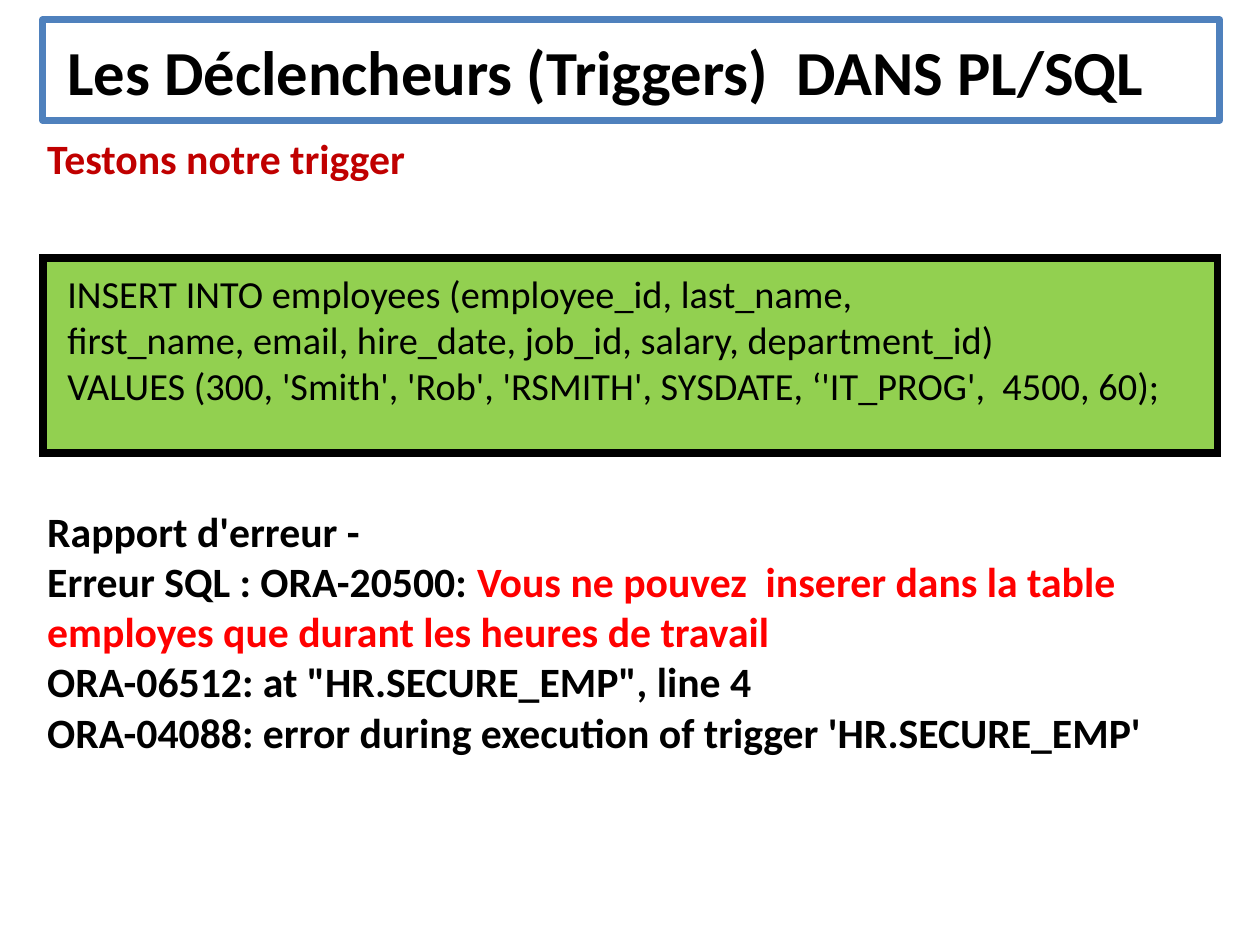
from lxml import etree
from pptx import Presentation
from pptx.dml.color import RGBColor
from pptx.enum.shapes import MSO_SHAPE
from pptx.enum.text import MSO_ANCHOR, PP_ALIGN
from pptx.oxml.ns import qn
from pptx.util import Inches, Pt

RECT = MSO_SHAPE.RECTANGLE
TOP, MIDDLE = MSO_ANCHOR.TOP, MSO_ANCHOR.MIDDLE
LEFT = PP_ALIGN.LEFT
FONT = "Calibri"
COLORS = {
    "black": "000000",
    "white": "FFFFFF",
    "blue": "4F81BD",
    "green": "92D050",
    "dark_red": "C00000",
    "red": "FF0000",
}


def color(name):
    return RGBColor.from_string(COLORS[name])


def write(tf, paragraphs, size, bold, anchor=TOP):
    tf.word_wrap = True
    tf.vertical_anchor = anchor
    tf.margin_left = tf.margin_right = Inches(0.1)
    tf.margin_top = tf.margin_bottom = Inches(0.05)
    for i, runs in enumerate(paragraphs):
        p = tf.add_paragraph() if i else tf.paragraphs[0]
        p.alignment = LEFT
        for text, ink in runs:
            r = p.add_run()
            r.text = text
            r.font.name = FONT
            r.font.size = Pt(size)
            r.font.bold = bold
            r.font.color.rgb = color(ink)


def add_panel(s, box, fill, line, width):
    sp = s.shapes.add_shape(RECT, *map(Inches, box))
    sp.shadow.inherit = False
    sp.fill.solid()
    sp.fill.fore_color.rgb = color(fill)
    sp.line.color.rgb = color(line)
    sp.line.width = Pt(width)
    return sp


def add_title(s, box):
    sp = add_panel(s, box, "white", "blue", 2)
    title = "Les Déclencheurs (Triggers)  DANS PL/SQL"
    write(sp.text_frame, [[(title, "black")]], 18, True, MIDDLE)


def add_code(s, box):
    sp = add_panel(s, box, "green", "black", 2.25)
    etree.SubElement(sp.line._get_or_add_ln(), qn("a:miter"), lim="800000")
    code = [
        "INSERT INTO employees (employee_id, last_name,",
        "first_name, email, hire_date, job_id, salary, department_id)",
        "VALUES (300, 'Smith', 'Rob', 'RSMITH', SYSDATE, ‘'IT_PROG',  4500, 60);",
    ]
    write(sp.text_frame, [[(line, "black")] for line in code], 11, False)


def add_text(s, box, paragraphs):
    sp = s.shapes.add_textbox(*map(Inches, box))
    write(sp.text_frame, paragraphs, 12, True)


def main():
    prs = Presentation()
    prs.slide_width, prs.slide_height = Inches(5.03), Inches(3.78)
    s = prs.slides.add_slide(prs.slide_layouts[6])
    add_code(s, (0.17, 1.03, 4.69, 0.78))
    add_title(s, (0.17, 0.08, 4.7, 0.4))
    add_text(s, (0.09, 0.48, 4.78, 0.3), [[("Testons notre trigger", "dark_red")]])
    add_text(s, (0.09, 1.97, 4.78, 1.11), [
        [("Rapport d'erreur -", "black")],
        [("Erreur SQL : ORA-20500: ", "black"),
         ("Vous ne pouvez  inserer dans la table employes que durant "
          "les heures de travail", "red")],
        [("ORA-06512: at \"HR.SECURE_EMP\", line 4", "black")],
        [("ORA-04088: error during execution of trigger 'HR.SECURE_EMP'", "black")],
    ])
    prs.save("out.pptx")


if __name__ == "__main__":
    main()
